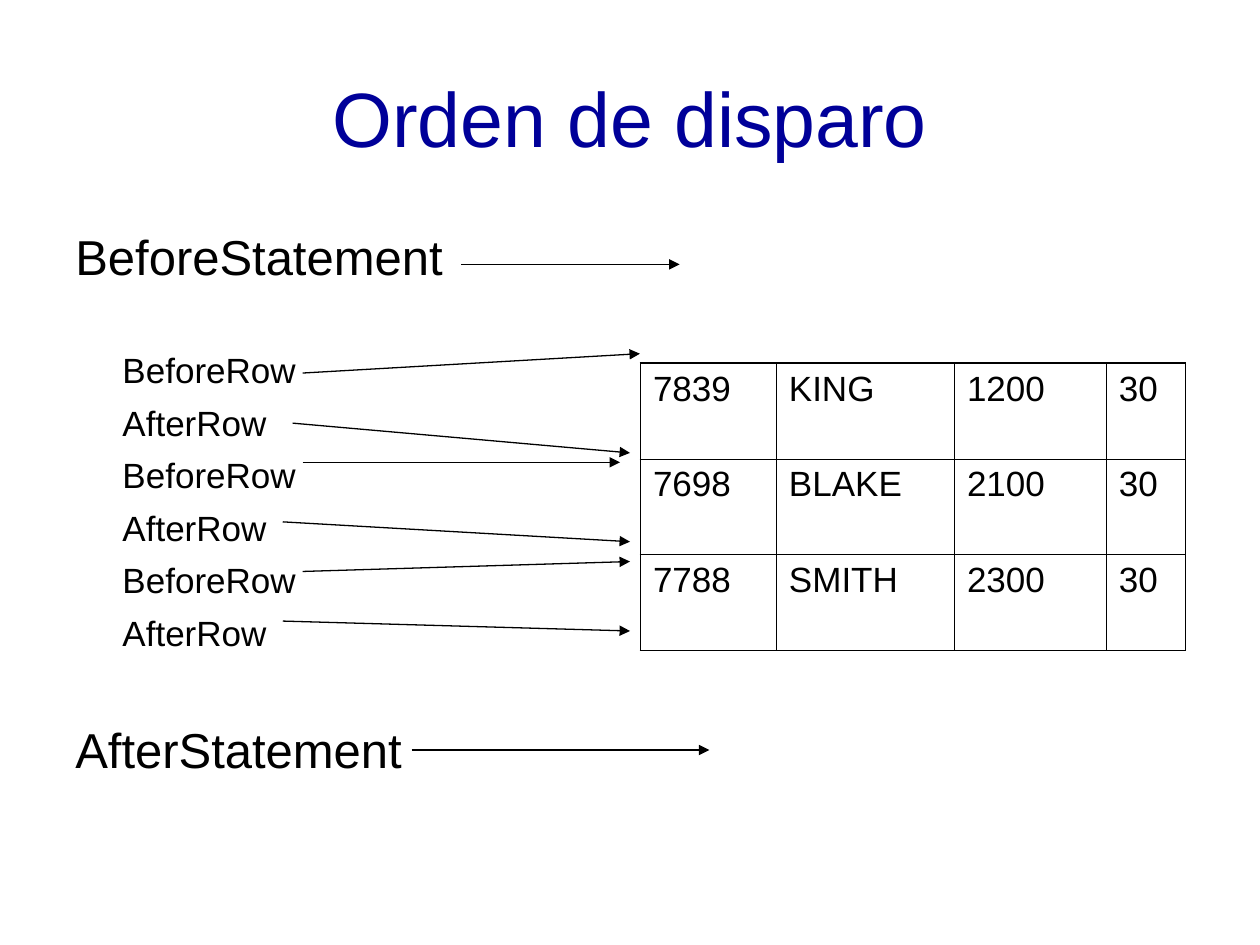
"""Build the slide "Orden de disparo" on the firing order of statement and row triggers."""
from lxml import etree
from pptx import Presentation
from pptx.dml.color import RGBColor
from pptx.enum.shapes import MSO_CONNECTOR
from pptx.enum.text import MSO_ANCHOR, PP_ALIGN
from pptx.oxml.ns import qn
from pptx.util import Cm, Pt

STRAIGHT = MSO_CONNECTOR.STRAIGHT
MIDDLE, TOP = MSO_ANCHOR.MIDDLE, MSO_ANCHOR.TOP
CENTER, LEFT = PP_ALIGN.CENTER, PP_ALIGN.LEFT

FONT = "Arial"
COLORS = {"title": "000099", "ink": "000000"}
STATEMENT_SIZE, ROW_SIZE = 28, 20
ROW_INDENT = 0.95

TITLE = "Orden de disparo"
ROW_TRIGGERS = ["BeforeRow", "AfterRow"] * 3
EMPLOYEES = [
    ("7839", "KING", "1200", "30"),
    ("7698", "BLAKE", "2100", "30"),
    ("7788", "SMITH", "2300", "30"),
]
COLUMN_WIDTHS = [2.74, 3.59, 3.06, 1.6]
ROW_HEIGHT = 1.93
TABLE_LEFT, TABLE_TOP = 12.91, 7.32
OUTER_BORDER, INNER_BORDER = 1.08, 0.45

FIRING_ARROWS = [
    ((9.3, 5.33), (13.7, 5.33)),
    ((8.3, 15.12), (14.3, 15.12)),
    ((6.1, 7.52), (12.9, 7.13)),
    ((5.9, 8.53), (12.7, 9.13)),
    ((6.1, 9.32), (12.5, 9.32)),
    ((5.7, 10.52), (12.7, 10.92)),
    ((6.1, 11.52), (12.7, 11.32)),
    ((5.7, 12.52), (12.7, 12.72)),
]


def style(paragraph, size, color, align=LEFT):
    paragraph.alignment = align
    paragraph.font.name = FONT
    paragraph.font.size = Pt(size)
    paragraph.font.color.rgb = RGBColor.from_string(COLORS[color])


def add_text_frame(slide, left, top, width, height, anchor):
    frame = slide.shapes.add_textbox(Cm(left), Cm(top), Cm(width), Cm(height)).text_frame
    frame.word_wrap = True
    frame.vertical_anchor = anchor
    return frame


def add_title(slide):
    heading = add_text_frame(slide, 1.27, 0.76, 22.86, 3.18, MIDDLE).paragraphs[0]
    heading.text = TITLE
    style(heading, 44, "title", CENTER)


def add_triggers(slide):
    frame = add_text_frame(slide, 1.27, 4.45, 11.23, 12.57, TOP)
    lines = [("BeforeStatement", STATEMENT_SIZE, 0, 0)]
    for index, trigger in enumerate(ROW_TRIGGERS):
        lines.append((trigger, ROW_SIZE, ROW_INDENT, 6 if index else 36))
    lines.append(("AfterStatement", STATEMENT_SIZE, 0, 38))
    for index, (trigger, size, indent, gap) in enumerate(lines):
        paragraph = frame.add_paragraph() if index else frame.paragraphs[0]
        paragraph.text = trigger
        paragraph.space_before = Pt(gap)
        paragraph._p.get_or_add_pPr().set("marL", str(Cm(indent)))
        style(paragraph, size, "ink")


def set_borders(cell, widths):
    properties = cell._tc.get_or_add_tcPr()
    for side, width in widths.items():
        border = etree.SubElement(properties, qn(f"a:ln{side}"), w=str(Pt(width)))
        fill = etree.SubElement(border, qn("a:solidFill"))
        etree.SubElement(fill, qn("a:srgbClr"), val=COLORS["ink"])


def add_employees(slide):
    row_count, column_count = len(EMPLOYEES), len(COLUMN_WIDTHS)
    table = slide.shapes.add_table(
        row_count, column_count, Cm(TABLE_LEFT), Cm(TABLE_TOP),
        Cm(sum(COLUMN_WIDTHS)), Cm(ROW_HEIGHT * row_count)).table
    table.first_row = table.horz_banding = False
    for column, width in zip(table.columns, COLUMN_WIDTHS):
        column.width = Cm(width)
    for r, employee in enumerate(EMPLOYEES):
        table.rows[r].height = Cm(ROW_HEIGHT)
        for c, value in enumerate(employee):
            cell = table.cell(r, c)
            cell.text = value
            style(cell.text_frame.paragraphs[0], ROW_SIZE, "ink")
            on_edge = {"L": c == 0, "R": c == column_count - 1,
                       "T": r == 0, "B": r == row_count - 1}
            set_borders(cell, {side: OUTER_BORDER if edge else INNER_BORDER
                               for side, edge in on_edge.items()})
            cell.fill.background()


def add_arrow(slide, start, end):
    arrow = slide.shapes.add_connector(STRAIGHT, *map(Cm, start + end))
    arrow.line.color.rgb = RGBColor.from_string(COLORS["ink"])
    arrow.line.width = Pt(0.75)
    etree.SubElement(arrow.line._get_or_add_ln(), qn("a:tailEnd"), type="triangle")
    etree.SubElement(arrow._element.spPr, qn("a:effectLst"))


def main():
    deck = Presentation()
    deck.slide_width, deck.slide_height = Cm(25.4), Cm(19.05)
    slide = deck.slides.add_slide(deck.slide_layouts[6])
    add_title(slide)
    add_triggers(slide)
    add_employees(slide)
    for start, end in FIRING_ARROWS:
        add_arrow(slide, start, end)
    deck.save("out.pptx")


if __name__ == "__main__":
    main()
